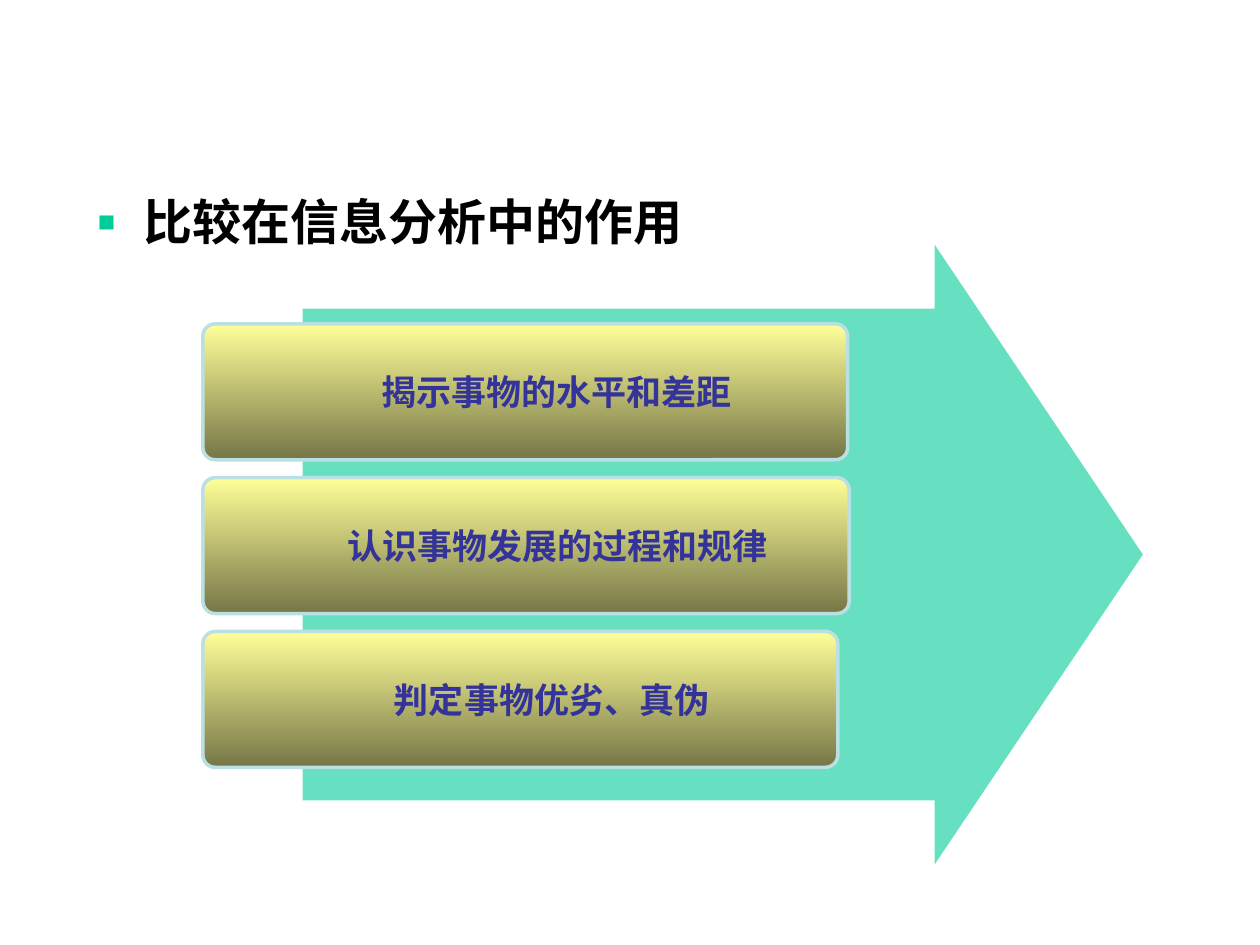
from lxml import etree
from pptx import Presentation
from pptx.dml.color import RGBColor
from pptx.enum.shapes import MSO_SHAPE as Shape
from pptx.enum.text import MSO_ANCHOR as Anchor, PP_ALIGN as Align
from pptx.oxml.ns import qn
from pptx.util import Cm, Pt

BLACK = RGBColor(0x00, 0x00, 0x00)
GREEN = RGBColor(0x00, 0xCC, 0x99)
NAVY = RGBColor(0x33, 0x33, 0x99)
PALE_BLUE = RGBColor(0xBB, 0xE0, 0xE3)
YELLOW = RGBColor(0xFF, 0xFF, 0x99)
OLIVE = RGBColor(0x76, 0x76, 0x47)

HEADING_FONT = {"name": "Arial", "size": Pt(28), "bold": True}
ROLE_FONT = {"name": "Times New Roman", "size": Pt(20), "bold": True}

# Each role of comparison with the width of its bar in cm
ROLES = [
    ("揭示事物的水平和差距", 13),
    ("认识事物发展的过程和规律", 13.03),
    ("判定事物优劣、真伪", 12.8),
]
BAR_LEFT, BAR_TOP, BAR_HEIGHT, BAR_PITCH = 4.09, 6.53, 2.74, 3.1


def write(paragraph, text, font_format, color):
    run = paragraph.add_run()
    run.text = text
    for attribute, value in font_format.items():
        setattr(run.font, attribute, value)
    run.font.color.rgb = color


def add_bullet(paragraph, char, color, percent, indent):
    properties = paragraph._p.get_or_add_pPr()
    properties.set("marL", str(indent))
    properties.set("indent", str(-indent))
    bullet_color = etree.SubElement(properties, qn("a:buClr"))
    etree.SubElement(bullet_color, qn("a:srgbClr"), val=str(color))
    etree.SubElement(properties, qn("a:buSzPct"), val=str(percent * 1000))
    etree.SubElement(properties, qn("a:buFont"), typeface="Arial")
    etree.SubElement(properties, qn("a:buChar"), char=char)


def add_heading(slide, text):
    heading = slide.shapes.add_textbox(Cm(1.7), Cm(3.73), Cm(21.79), Cm(10.36))
    heading.text_frame.word_wrap = True
    paragraph = heading.text_frame.paragraphs[0]
    add_bullet(paragraph, "▪", GREEN, 115, Cm(0.95))
    write(paragraph, text, HEADING_FONT, BLACK)


def add_arrow(slide):
    arrow = slide.shapes.add_shape(
        Shape.RIGHT_ARROW, Cm(6.1), Cm(4.93), Cm(16.94), Cm(12.5))
    arrow.shadow.inherit = False
    arrow.adjustments[0] = 0.793
    arrow.adjustments[1] = 0.336
    arrow.line.fill.background()
    arrow.fill.solid()
    arrow.fill.fore_color.rgb = GREEN
    # 60 % opacity
    color = arrow._element.spPr.find(qn("a:solidFill")).find(qn("a:srgbClr"))
    etree.SubElement(color, qn("a:alpha"), val="60000")


def add_role_bar(slide, text, top, width):
    bar = slide.shapes.add_shape(
        Shape.ROUNDED_RECTANGLE, Cm(BAR_LEFT), Cm(top), Cm(width), Cm(BAR_HEIGHT))
    bar.shadow.inherit = False
    bar.adjustments[0] = 0.091
    bar.line.color.rgb = PALE_BLUE
    bar.line.width = Pt(2)

    # Yellow at the top, olive at the bottom
    bar.fill.gradient()
    bar.fill.gradient_angle = 270
    for stop, color, position in zip(bar.fill.gradient_stops, (YELLOW, OLIVE), (0, 1)):
        stop.color.rgb = color
        stop.position = position

    frame = bar.text_frame
    frame.word_wrap = False
    frame.vertical_anchor = Anchor.MIDDLE
    paragraph = frame.paragraphs[0]
    paragraph.level = 1
    paragraph.alignment = Align.CENTER
    properties = paragraph._p.get_or_add_pPr()
    properties.set("marL", str(Cm(1.27)))
    properties.set("indent", "0")
    write(paragraph, text, ROLE_FONT, NAVY)


def main():
    presentation = Presentation()
    presentation.slide_width = Cm(25.4)
    presentation.slide_height = Cm(19.05)
    slide = presentation.slides.add_slide(presentation.slide_layouts[6])

    add_heading(slide, "比较在信息分析中的作用")
    add_arrow(slide)
    for row, (text, width) in enumerate(ROLES):
        add_role_bar(slide, text, BAR_TOP + row * BAR_PITCH, width)

    presentation.save("out.pptx")


if __name__ == "__main__":
    main()
